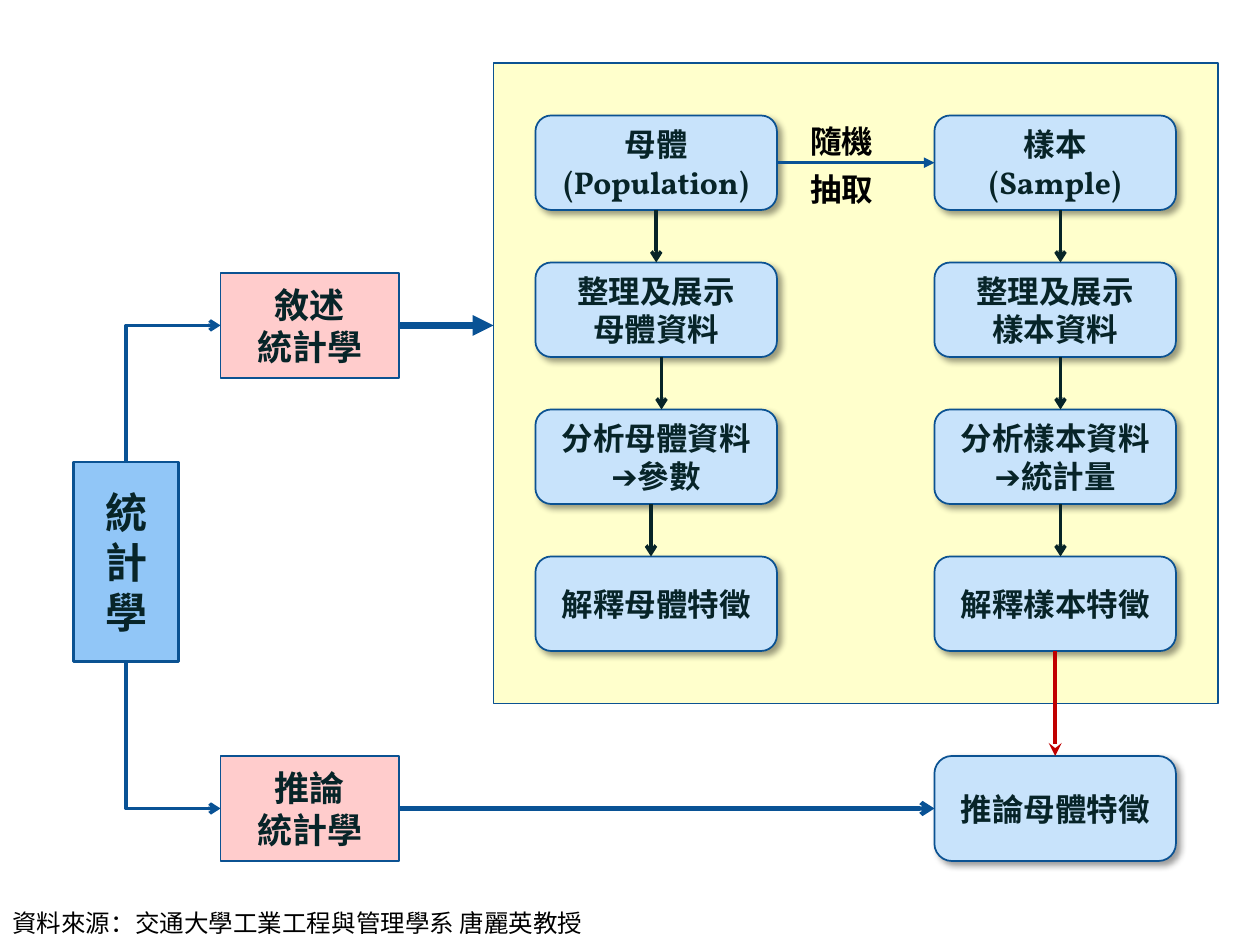
from collections import namedtuple
from itertools import pairwise

from lxml.etree import SubElement
from pptx import Presentation
from pptx.dml.color import RGBColor
from pptx.enum.shapes import MSO_CONNECTOR, MSO_SHAPE
from pptx.enum.text import MSO_ANCHOR, MSO_AUTO_SIZE, PP_ALIGN
from pptx.oxml.ns import qn
from pptx.util import Inches, Pt

COLUMNS, ROWS = 120, 90
INK, BORDER, ROUTE, SKY = "072428", "0B5292", "095295", "C8E3FB"

Box = namedtuple("Box", "col row cols rows")

deck = Presentation()
deck.slide_width, deck.slide_height = Inches(10), Inches(7.5)
slide = deck.slides.add_slide(deck.slide_layouts[6])


def color(code):
    return RGBColor.from_string(code)


def x(col):
    return round(deck.slide_width * col / COLUMNS)


def y(row):
    return round(deck.slide_height * row / ROWS)


def place(box):
    return x(box.col), y(box.row), x(box.cols), y(box.rows)


def write(frame, lines, size, font, ink, bold=True, align=None, gaps=()):
    for index, line in enumerate(lines):
        paragraph = frame.paragraphs[0] if index == 0 else frame.add_paragraph()
        paragraph.alignment = align
        if gaps:
            paragraph.space_before = Pt(gaps[index])
        run = paragraph.add_run()
        run.text = line
        run.font.size, run.font.name, run.font.bold = Pt(size), font, bold
        run.font.color.rgb = color(ink)


def cast_shadow(shape):
    effects = shape._element.spPr.find(qn("a:effectLst"))
    shadow = SubElement(effects, qn("a:outerShdw"), blurRad=str(Pt(4)),
                        dist=str(Pt(3)), dir="2700000", algn="tl", rotWithShape="0")
    black = SubElement(shadow, qn("a:srgbClr"), val="000000")
    SubElement(black, qn("a:alpha"), val="40000")


def block(box, lines, fill, size=18, font="Arial", border=1, preset=MSO_SHAPE.RECTANGLE):
    shape = slide.shapes.add_shape(preset, *place(box))
    shape.shadow.inherit = False
    shape.fill.solid()
    shape.fill.fore_color.rgb = color(fill)
    shape.line.color.rgb, shape.line.width = color(BORDER), Pt(border)
    shape.text_frame.word_wrap = True
    shape.text_frame.vertical_anchor = MSO_ANCHOR.MIDDLE
    write(shape.text_frame, lines, size, font, INK, align=PP_ALIGN.CENTER)
    return shape


def step(box, lines):
    shape = block(box, lines, SKY, font="Vollkorn", preset=MSO_SHAPE.ROUNDED_RECTANGLE)
    cast_shadow(shape)
    if lines[-1].startswith("➔"):
        shape.text_frame.margin_left = shape.text_frame.margin_right = Inches(0.04)


def label(box, lines, size, bold, gaps=()):
    frame = slide.shapes.add_textbox(*place(box)).text_frame
    frame.word_wrap = False
    frame.auto_size = MSO_AUTO_SIZE.SHAPE_TO_FIT_TEXT
    write(frame, lines, size, "Arial", "000000", bold, gaps=gaps)


def arrow(start, end, ink=ROUTE, width=2.0, head="arrow"):
    connector = slide.shapes.add_connector(
        MSO_CONNECTOR.STRAIGHT, x(start[0]), y(start[1]), x(end[0]), y(end[1]))
    connector.line.color.rgb, connector.line.width = color(ink), Pt(width)
    SubElement(connector.line._get_or_add_ln(), qn("a:tailEnd"), type=head)
    SubElement(connector._element.spPr, qn("a:effectLst"))
    return connector


def elbow(start, end):
    connector = arrow(start, end)
    across, rise = x(end[0] - start[0]), y(abs(end[1] - start[1]))
    center_x, center_y = x(start[0] + end[0]) // 2, y(start[1] + end[1]) // 2
    connector.left, connector.top = center_x - rise // 2, center_y - across // 2
    connector.width, connector.height = rise, across
    upward = end[1] < start[1]
    properties = connector._element.spPr
    properties.find(qn("a:prstGeom")).set("prst", "bentConnector2")
    frame = properties.find(qn("a:xfrm"))
    frame.set("rot", str((90 if upward else 270) * 60000))
    frame.set("flipH", "1")
    frame.set("flipV", "1" if upward else "0")


def statistics_tree(box, branches):
    root = Box(box.col, box.row + 18, 10, 19)
    block(root, ["統計學"], "91C6F7", size=24, border=1.5)
    for offset, name in branches:
        branch = Box(box.col + 14, box.row + offset, 17, 10)
        block(branch, [name, "統計學"], "FFCCCC", size=20)
        middle = branch.row + branch.rows / 2
        edge = root.row if middle < root.row else root.row + root.rows
        elbow((root.col + 5, edge), (branch.col, middle))


def process(box, steps, arrow_shares):
    height, pitch = 9, 14
    rows = [box.row + pitch * index for index in range(len(steps))]
    for row, lines in zip(rows, steps):
        step(Box(box.col, row, box.cols, height), lines)
    for (upper, lower), share in zip(pairwise(rows), arrow_shares):
        col = box.col + share
        arrow((col, upper + height), (col, lower), INK)


def descriptive_panel(box):
    block(box, [], "FFFFCC")
    population = Box(box.col + 4, box.row + 5, 23, 51)
    sample = population._replace(col=box.col + 42)
    process(population, [
        ["母體", "(Population)"],
        ["整理及展示", "母體資料"],
        ["分析母體資料", "➔參數"],
        ["解釋母體特徵"],
    ], (11.5, 12, 11))
    process(sample, [
        ["樣本", "(Sample)"],
        ["整理及展示", "樣本資料"],
        ["分析樣本資料", "➔統計量"],
        ["解釋樣本特徵"],
    ], (12, 12, 12))
    middle = population.row + 4.5
    arrow((population.col + population.cols, middle), (sample.col, middle), head="triangle")
    label(Box(box.col + 29, box.row + 5, 8.5, 9.5), ["隨機", "抽取"], 18, True, (12, 6))


def inference(box):
    step(box, ["推論母體特徵"])
    col = box.col + 11.5
    arrow((col, box.row - 10), (col, box.row), "C00000", 2.5, "stealth")


def main():
    statistics_tree(Box(7, 26, 31, 56), [(0, "敘述"), (46, "推論")])
    descriptive_panel(Box(47, 6, 69, 61))
    inference(Box(89, 72, 23, 10))
    arrow((38, 31), (47, 31), width=4, head="triangle")
    arrow((38, 77), (89, 77), width=2.5)
    label(Box(0, 85.9, 57.2, 4.1), ["資料來源：交通大學工業工程與管理學系 唐麗英教授"], 14, False)
    deck.save("out.pptx")


if __name__ == "__main__":
    main()
